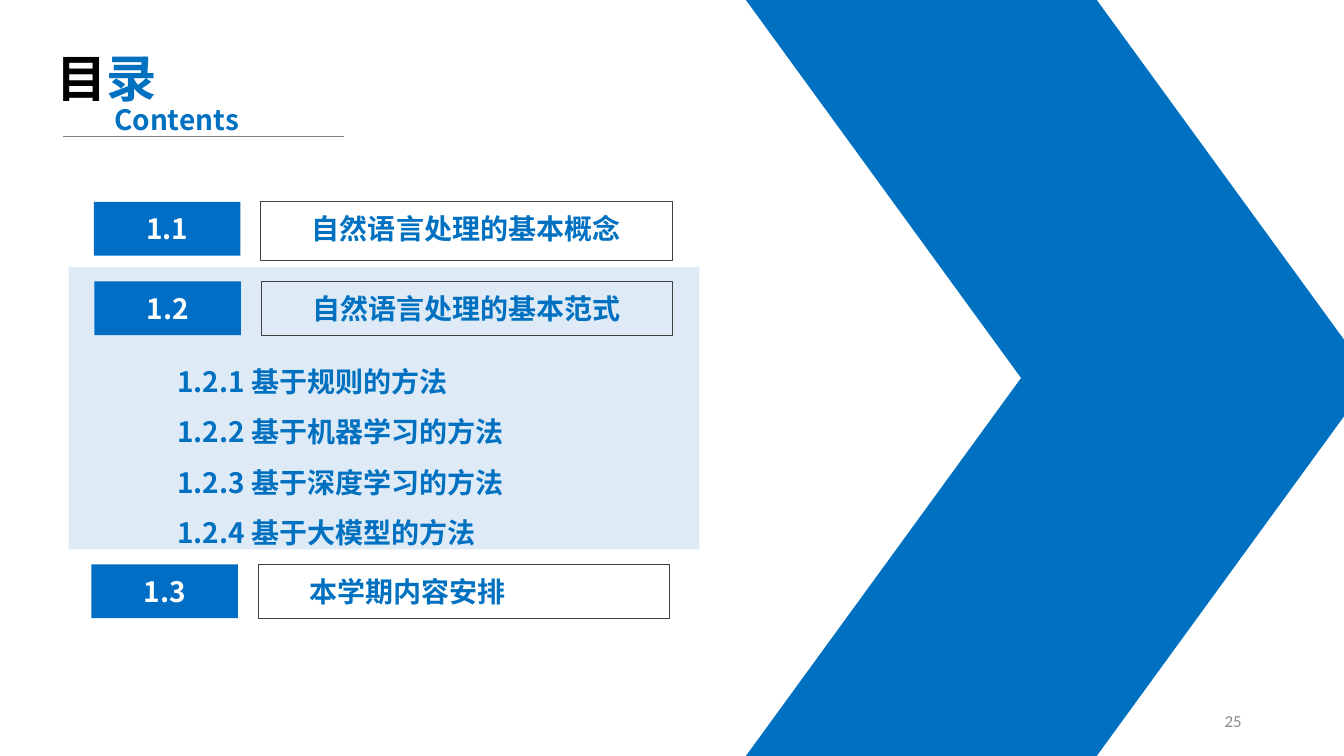
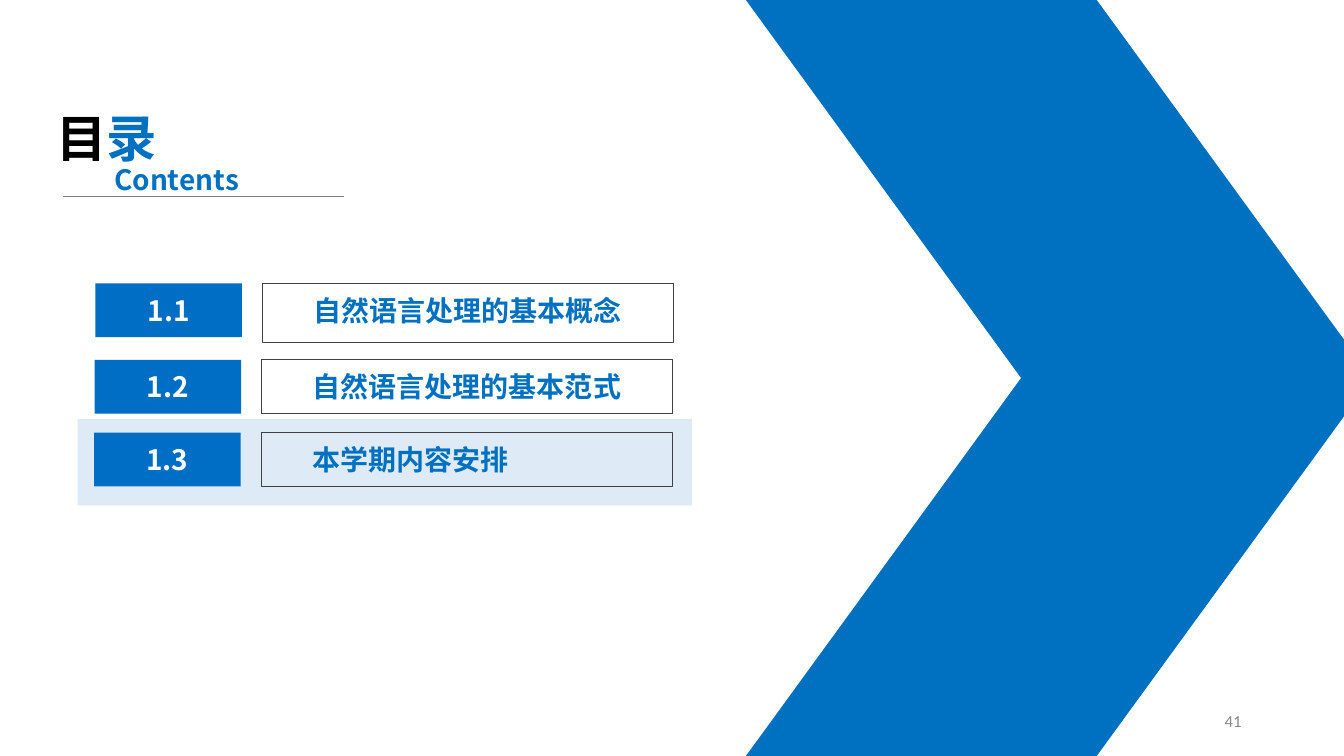
from lxml.etree import SubElement
from pptx import Presentation
from pptx.dml.color import RGBColor
from pptx.enum.shapes import MSO_CONNECTOR, MSO_SHAPE
from pptx.enum.text import MSO_ANCHOR, PP_ALIGN
from pptx.oxml.ns import qn
from pptx.util import Pt

COLORS = {
    "blue": "0070C0",
    "label": "006EC5",
    "highlight": "DEEBF7",
    "frame": "404040",
    "rule": "7F7F7F",
    "footer": "898989",
    "black": "000000",
    "white": "FFFFFF",
}
CJK_FONT = "Noto Sans CJK SC"
HEADING = {"name": CJK_FONT, "size": Pt(20), "bold": True}
TITLE = {**HEADING, "size": Pt(36)}
FOOTER = {"name": "Calibri", "size": Pt(12)}

TOPICS = ["自然语言处理的基本概念", "自然语言处理的基本范式", "本学期内容安排"]
METHODS = [
    "1.2.1 基于规则的方法",
    "1.2.2 基于机器学习的方法",
    "1.2.3 基于深度学习的方法",
    "1.2.4 基于大模型的方法",
]
AGENDAS = [
    {
        "title_top": 30.2,
        "highlight": (49, 190.9, 450.6, 201.6),
        "rows": [(67.1, 144.2, 42), (67.5, 201, 38.4), (65.3, 403.2, 38.4)],
        "methods": METHODS,
        "number": "25",
    },
    {
        "title_top": 73.2,
        "highlight": (55.4, 299.4, 439, 61.6),
        "rows": [(68.2, 202.4, 42), (67.6, 257, 38.4), (67.3, 309, 38.4)],
        "methods": [],
        "number": "41",
    },
]


def color(name):
    return RGBColor.from_string(COLORS[name])


class AgendaDeck:
    def __init__(self):
        self.presentation = Presentation()
        self.presentation.slide_width = Pt(960)
        self.presentation.slide_height = Pt(540)
        self.slide = None

    def add_slide(self):
        layout = self.presentation.slide_layouts[6]
        self.slide = self.presentation.slides.add_slide(layout)

    def shape(self, kind, box, fill=None, line=None):
        shape = self.slide.shapes.add_shape(kind, *map(Pt, box))
        shape.shadow.inherit = False
        if fill:
            shape.fill.solid()
            shape.fill.fore_color.rgb = color(fill)
        else:
            shape.fill.background()
        if line:
            shape.line.color.rgb = color(line)
            shape.line.width = Pt(0.75)
        else:
            shape.line.fill.background()
        return shape

    def add_text(self, paragraph, text, style, color_name):
        run = paragraph.add_run()
        run.text = text
        for name, value in style.items():
            setattr(run.font, name, value)
        run.font.color.rgb = color(color_name)
        SubElement(run.font._element, qn("a:ea"), typeface=style["name"])

    def format_frame(self, shape, **values):
        frame = shape.text_frame
        for name, value in {"word_wrap": True, **values}.items():
            setattr(frame, name, value)
        return frame

    def text_box(self, box, **values):
        return self.format_frame(self.slide.shapes.add_textbox(*map(Pt, box)), **values)

    def chevron(self):
        for top in (270, 0):
            half = self.shape(MSO_SHAPE.PARALLELOGRAM, (532.8, top, 447.2, 270), "blue")
            half.adjustments[0] = 0.728
            if top == 0:
                half.element.spPr.xfrm.set("flipV", "1")

    def title(self, top):
        paragraph = self.text_box((33.1, top, 113, 51)).paragraphs[0]
        self.add_text(paragraph, "目", TITLE, "black")
        self.add_text(paragraph, "录", TITLE, "blue")
        rule = self.slide.shapes.add_connector(
            MSO_CONNECTOR.STRAIGHT, Pt(45), Pt(top + 67), Pt(245.8), Pt(top + 67)
        )
        rule.line.color.rgb = color("rule")
        rule.line.width = Pt(0.5)
        SubElement(rule._element.spPr, qn("a:effectLst"))
        subtitle = self.text_box((74.4, top + 39.2, 113, 31.5))
        self.add_text(subtitle.paragraphs[0], "Contents", HEADING, "blue")

    def row(self, label, topic, left, top, height):
        frame = self.shape(
            MSO_SHAPE.RECTANGLE, (left + 119.3, top, 293.8, height), line="frame"
        )
        text = self.format_frame(
            frame,
            vertical_anchor=MSO_ANCHOR.TOP,
            margin_left=Pt(36.4),
            margin_top=Pt(7.2),
            margin_bottom=Pt(0),
        )
        text.paragraphs[0].alignment = PP_ALIGN.LEFT
        self.add_text(text.paragraphs[0], topic, HEADING, "blue")
        tag = self.shape(MSO_SHAPE.RECTANGLE, (left, top, 104.6, 38.4), "label")
        text = self.format_frame(tag, vertical_anchor=MSO_ANCHOR.MIDDLE)
        text.paragraphs[0].alignment = PP_ALIGN.CENTER
        self.add_text(text.paragraphs[0], label, HEADING, "white")

    def methods(self, lines):
        frame = self.text_box((119.5, 244.8, 380, 148.3))
        for index, line in enumerate(lines):
            paragraph = frame.add_paragraph() if index else frame.paragraphs[0]
            paragraph.line_spacing = 1.5
            self.add_text(paragraph, line, HEADING, "blue")

    def slide_number(self, number):
        frame = self.text_box((678, 500.5, 216, 28.8), vertical_anchor=MSO_ANCHOR.MIDDLE)
        frame.paragraphs[0].alignment = PP_ALIGN.RIGHT
        self.add_text(frame.paragraphs[0], number, FOOTER, "footer")

    def agenda(self, content):
        self.add_slide()
        self.shape(MSO_SHAPE.RECTANGLE, content["highlight"], "highlight")
        self.chevron()
        for index, (topic, place) in enumerate(zip(TOPICS, content["rows"]), 1):
            self.row(f"1.{index}", topic, *place)
        self.title(content["title_top"])
        self.slide_number(content["number"])
        if content["methods"]:
            self.methods(content["methods"])


def main():
    deck = AgendaDeck()
    for content in AGENDAS:
        deck.agenda(content)
    deck.presentation.save("out.pptx")


if __name__ == "__main__":
    main()
